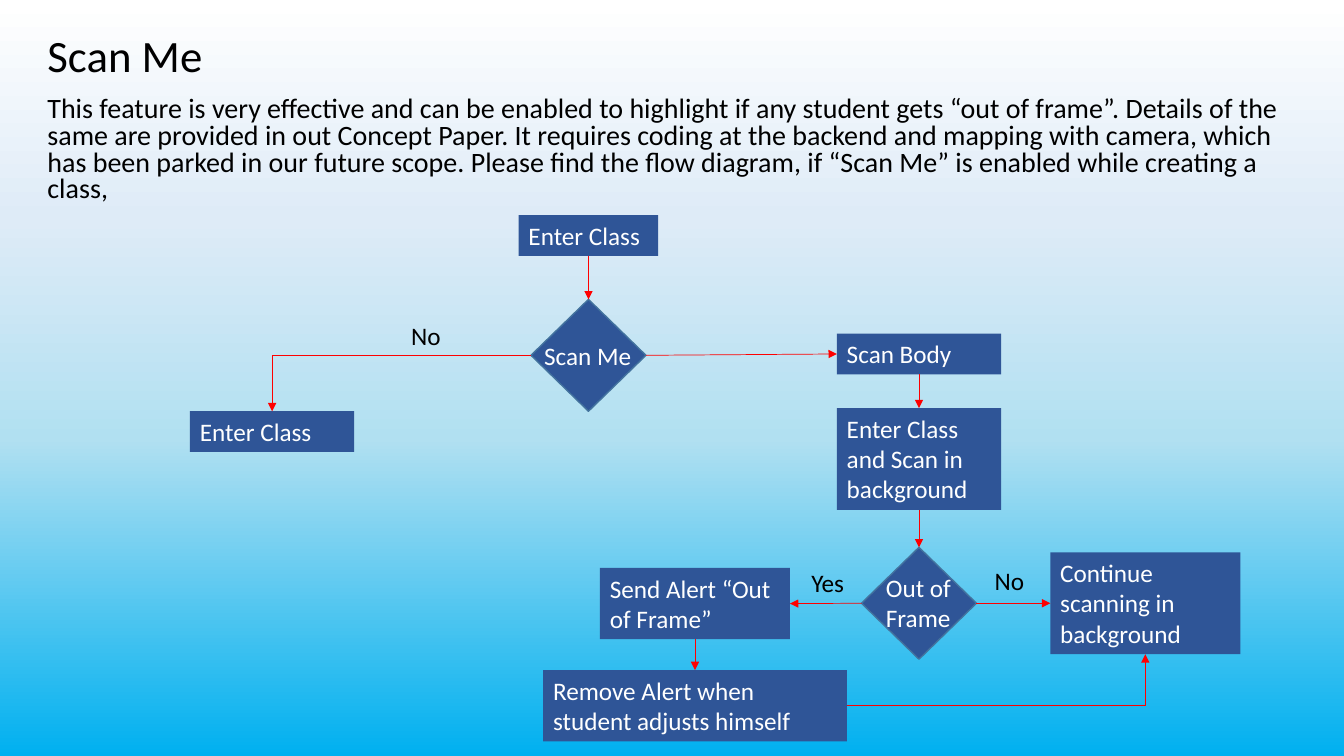
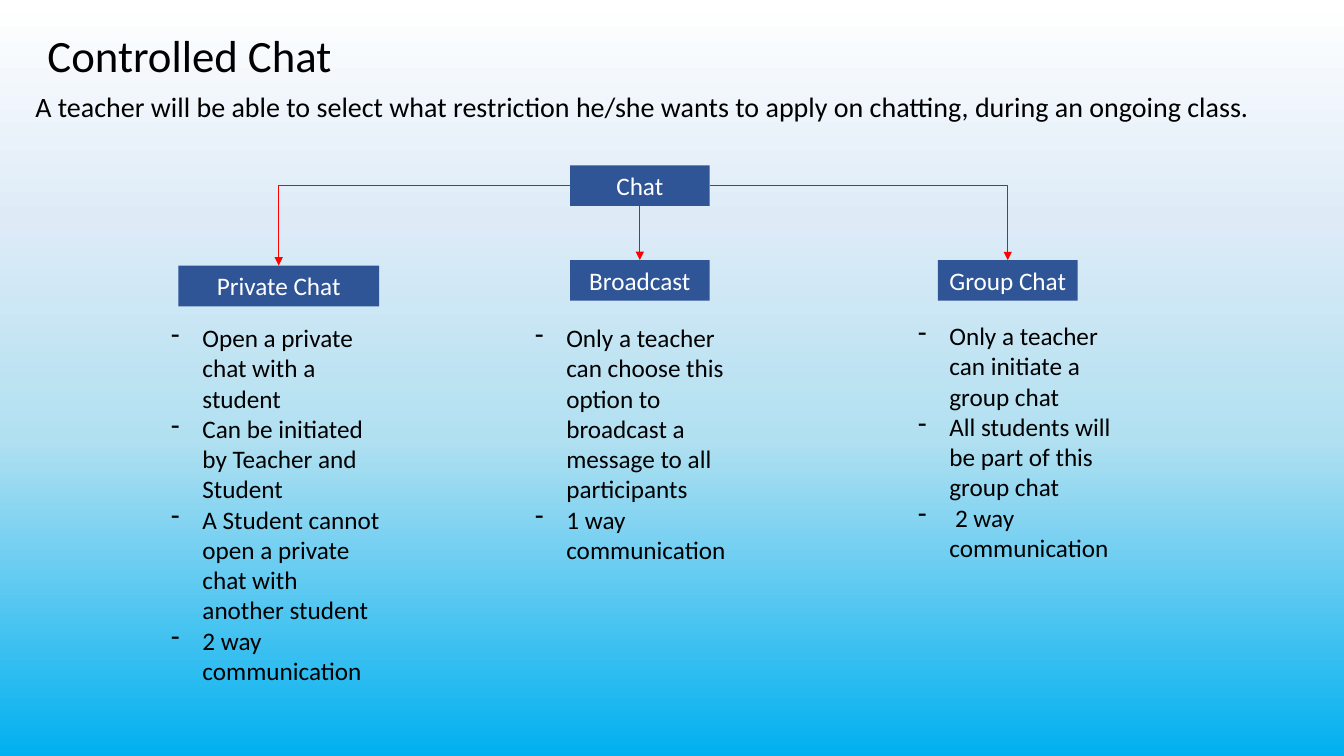
from typing import NamedTuple

from lxml import etree
from pptx import Presentation
from pptx import util as u
from pptx.dml.color import RGBColor
from pptx.enum import shapes, text
from pptx.oxml import ns

CELL = u.Inches(0.1)
COLUMNS, ROWS = 133.33, 75
BLACK = RGBColor(0x00, 0x00, 0x00)
WHITE = RGBColor(0xFF, 0xFF, 0xFF)
NAVY = RGBColor(0x2F, 0x55, 0x97)
EDGE = RGBColor(0x43, 0x73, 0x9E)
RED = RGBColor(0xFF, 0x00, 0x00)
SKY = ((0, WHITE), (29, RGBColor(0xDE, 0xEB, 0xF7)),
       (58, RGBColor(0xB1, 0xE0, 0xF1)), (100, RGBColor(0x00, 0xB0, 0xF0)))
FONT = "Calibri"
TITLE_SIZE, INTRO_SIZE, FLOW_SIZE = 32, 20, 18
TOP, LEFT, BOTTOM, RIGHT = range(4)
LINE_ROWS = 3.03
ONE_LINE = 4.04
DIAMOND = (11.4, 11.1)


class Area(NamedTuple):
    col: float
    row: float
    cols: float
    rows: float


class Step(NamedTuple):
    key: str
    caption: str
    col: float
    row: float
    cols: float
    lines: int = 1


class Decision(NamedTuple):
    key: str
    caption: str
    col: float
    row: float
    caption_col: float
    caption_row: float
    lines: int = 1


class Arrow(NamedTuple):
    start: str
    start_side: int
    end: str
    end_side: int
    elbow: bool = False


class Label(NamedTuple):
    caption: str
    col: float
    row: float


class Rules(NamedTuple):
    col: float
    row: float
    lines: int
    items: tuple[str, ...]


TITLE_AREA = Area(3.7, 0.8, 127.1, 9.9)

SCAN_STEPS = (
    Step("enter", "Enter Class", 51.45, 21.35, 13.85),
    Step("body", "Scan Body", 83.02, 33.1, 16.3),
    Step("background", "Enter Class and Scan in background", 83.02, 40.5, 16.3, 3),
    Step("alert", "Send Alert “Out of Frame”", 59.52, 56.35, 18.85, 2),
    Step("continue", "Continue scanning in background", 104.2, 54.8, 18.85, 3),
    Step("remove", "Remove Alert when student adjusts himself", 53.88, 66.48, 30.13, 2),
    Step("class", "Enter Class", 18.85, 40.8, 16.3),
)
SCAN_DECISIONS = (
    Decision("scan", "Scan Me", 52.68, 29.7, 53, 33.3),
    Decision("frame", "Out of Frame", 85.47, 54.3, 86.9, 56.3, 2),
)
SCAN_ARROWS = (
    Arrow("enter", BOTTOM, "scan", TOP),
    Arrow("scan", RIGHT, "body", LEFT),
    Arrow("scan", LEFT, "class", TOP, True),
    Arrow("body", BOTTOM, "background", TOP),
    Arrow("background", BOTTOM, "frame", TOP),
    Arrow("frame", LEFT, "alert", RIGHT),
    Arrow("frame", RIGHT, "continue", LEFT),
    Arrow("alert", BOTTOM, "remove", TOP),
    Arrow("remove", RIGHT, "continue", BOTTOM, True),
)
SCAN_LABELS = (Label("No", 39.8, 31.3), Label("Yes", 79.5, 55.8), Label("No", 97.7, 55.6))

CHAT_STEPS = (
    Step("chat", "Chat", 56.55, 16.4, 13.85),
    Step("broadcast", "Broadcast", 56.55, 25.8, 13.85),
    Step("private", "Private Chat", 17.7, 26.35, 19.9),
    Step("group", "Group Chat", 93.05, 25.8, 13.85),
)
CHAT_ARROWS = (
    Arrow("chat", BOTTOM, "broadcast", TOP),
    Arrow("chat", RIGHT, "group", TOP, True),
    Arrow("chat", LEFT, "private", TOP, True),
)
CHAT_RULES = (
    Rules(16, 31.5, 12, (
        "Open a private chat with a student",
        "Can be initiated by Teacher and Student",
        "A Student cannot open a private chat with another student",
        "2 way communication")),
    Rules(52.1, 31.5, 8, (
        "Only a teacher can choose this option to broadcast a message to all participants",
        "1 way communication")),
    Rules(90.1, 31.3, 8, (
        "Only a teacher can initiate a group chat",
        "All students will be part of this group chat",
        " 2 way communication")),
)


def cells(count: float) -> int:
    return round(count * CELL)


def text_rows(lines: int) -> float:
    return ONE_LINE + (lines - 1) * LINE_ROWS


def place(part, area: Area) -> None:
    part.left, part.top, part.width, part.height = map(cells, area)


def write(paragraph, words: str, size: int, color: RGBColor) -> None:
    run = paragraph.add_run()
    run.text = words
    run.font.name = FONT
    run.font.size = u.Pt(size)
    run.font.color.rgb = color


def set_bullet(paragraph, bullet: str | None, indent: float = 0) -> None:
    properties = paragraph._p.get_or_add_pPr()
    properties.set("marL", str(cells(indent)))
    properties.set("indent", str(-cells(indent)))
    if bullet:
        etree.SubElement(properties, ns.qn("a:buFontTx"))
        etree.SubElement(properties, ns.qn("a:buChar"), char=bullet)
    else:
        etree.SubElement(properties, ns.qn("a:buNone"))


def paint_background(master) -> None:
    fill = master.background.fill
    fill.gradient()
    fill.gradient_angle = 270
    stops = master._element.find(".//" + ns.qn("a:gsLst"))
    for stop in list(stops):
        stops.remove(stop)
    for percent, color in SKY:
        stop = etree.SubElement(stops, ns.qn("a:gs"), pos=str(percent * 1000))
        etree.SubElement(stop, ns.qn("a:srgbClr"), val=str(color))


def add_page(deck, title: str, intro: str, intro_area: Area, spacing: float):
    page = deck.slides.add_slide(deck.slide_layouts[1])
    heading, body = page.shapes.title, page.placeholders[1]
    for part, area, words, size, leading in (
        (heading, TITLE_AREA, title, TITLE_SIZE, 0.9),
        (body, intro_area, intro, INTRO_SIZE, spacing),
    ):
        place(part, area)
        part.text_frame.auto_size = text.MSO_AUTO_SIZE.NONE
        paragraph = part.text_frame.paragraphs[0]
        paragraph.alignment = text.PP_ALIGN.LEFT
        paragraph.line_spacing = leading
        write(paragraph, words, size, BLACK)
    heading.text_frame.vertical_anchor = text.MSO_ANCHOR.MIDDLE
    intro_line = body.text_frame.paragraphs[0]
    intro_line.space_before = u.Pt(10)
    set_bullet(intro_line, None)
    return page


def add_block(page, kind, area: Area):
    block = page.shapes.add_shape(kind, *map(cells, area))
    block.shadow.inherit = False
    block.fill.solid()
    block.fill.fore_color.rgb = NAVY
    block.line.fill.background()
    return block


def add_step(page, step: Step, alignment):
    block = add_block(page, shapes.MSO_SHAPE.RECTANGLE,
                      Area(step.col, step.row, step.cols, text_rows(step.lines)))
    frame = block.text_frame
    frame.word_wrap = True
    frame.vertical_anchor = text.MSO_ANCHOR.TOP
    frame.paragraphs[0].alignment = alignment
    write(frame.paragraphs[0], step.caption, FLOW_SIZE, WHITE)
    return block


def add_caption(page, area: Area, words: str, color: RGBColor) -> None:
    frame = page.shapes.add_textbox(*map(cells, area)).text_frame
    frame.word_wrap = True
    write(frame.paragraphs[0], words, FLOW_SIZE, color)


def add_decision(page, decision: Decision):
    block = add_block(page, shapes.MSO_SHAPE.DIAMOND,
                      Area(decision.col, decision.row, *DIAMOND))
    block.line.color.rgb = EDGE
    block.line.width = u.Pt(1)
    add_caption(page, Area(decision.caption_col, decision.caption_row, 11.7,
                           text_rows(decision.lines)), decision.caption, WHITE)
    return block


def add_arrow(page, blocks: dict, arrow: Arrow) -> None:
    link = page.shapes.add_connector(shapes.MSO_CONNECTOR.STRAIGHT, 0, 0, 0, 0)
    link.begin_connect(blocks[arrow.start], arrow.start_side)
    link.end_connect(blocks[arrow.end], arrow.end_side)
    link.line.color.rgb = RED
    link.line.width = u.Pt(0.5)
    properties = link._element.spPr
    if arrow.elbow:
        properties.find(ns.qn("a:prstGeom")).set("prst", "bentConnector2")
    etree.SubElement(properties.find(ns.qn("a:ln")), ns.qn("a:tailEnd"), type="triangle")
    etree.SubElement(properties, ns.qn("a:effectLst"))


def add_rules(page, rules: Rules) -> None:
    area = Area(rules.col, rules.row, 22.8, text_rows(rules.lines))
    frame = page.shapes.add_textbox(*map(cells, area)).text_frame
    frame.word_wrap = True
    for index, item in enumerate(rules.items):
        paragraph = frame.add_paragraph() if index else frame.paragraphs[0]
        set_bullet(paragraph, "-", 3.1)
        write(paragraph, item, FLOW_SIZE, BLACK)


def build_scan_page(deck) -> None:
    page = add_page(
        deck, "Scan Me",
        "This feature is very effective and can be enabled to highlight if any student gets "
        "“out of frame”. Details of the same are provided in out Concept Paper. It requires "
        "coding at the backend and mapping with camera, which has been parked in our future "
        "scope. Please find the flow diagram, if “Scan Me” is enabled while creating a class,",
        Area(3.7, 9.1, 127.1, 12), 0.8)
    blocks = {step.key: add_step(page, step, text.PP_ALIGN.LEFT) for step in SCAN_STEPS}
    blocks |= {choice.key: add_decision(page, choice) for choice in SCAN_DECISIONS}
    for arrow in SCAN_ARROWS:
        add_arrow(page, blocks, arrow)
    for label in SCAN_LABELS:
        add_caption(page, Area(label.col, label.row, 7.4, ONE_LINE), label.caption, BLACK)


def build_chat_page(deck) -> None:
    page = add_page(
        deck, "Controlled Chat",
        "A teacher will be able to select what restriction he/she wants to apply on chatting, "
        "during an ongoing class.",
        Area(2.5, 8.8, 125, 6.1), 0.9)
    blocks = {step.key: add_step(page, step, text.PP_ALIGN.CENTER) for step in CHAT_STEPS}
    for rules in CHAT_RULES:
        add_rules(page, rules)
    for arrow in CHAT_ARROWS:
        add_arrow(page, blocks, arrow)


def main() -> None:
    deck = Presentation()
    deck.slide_width, deck.slide_height = cells(COLUMNS), cells(ROWS)
    paint_background(deck.slide_master)
    build_scan_page(deck)
    build_chat_page(deck)
    deck.save("out.pptx")


if __name__ == "__main__":
    main()
